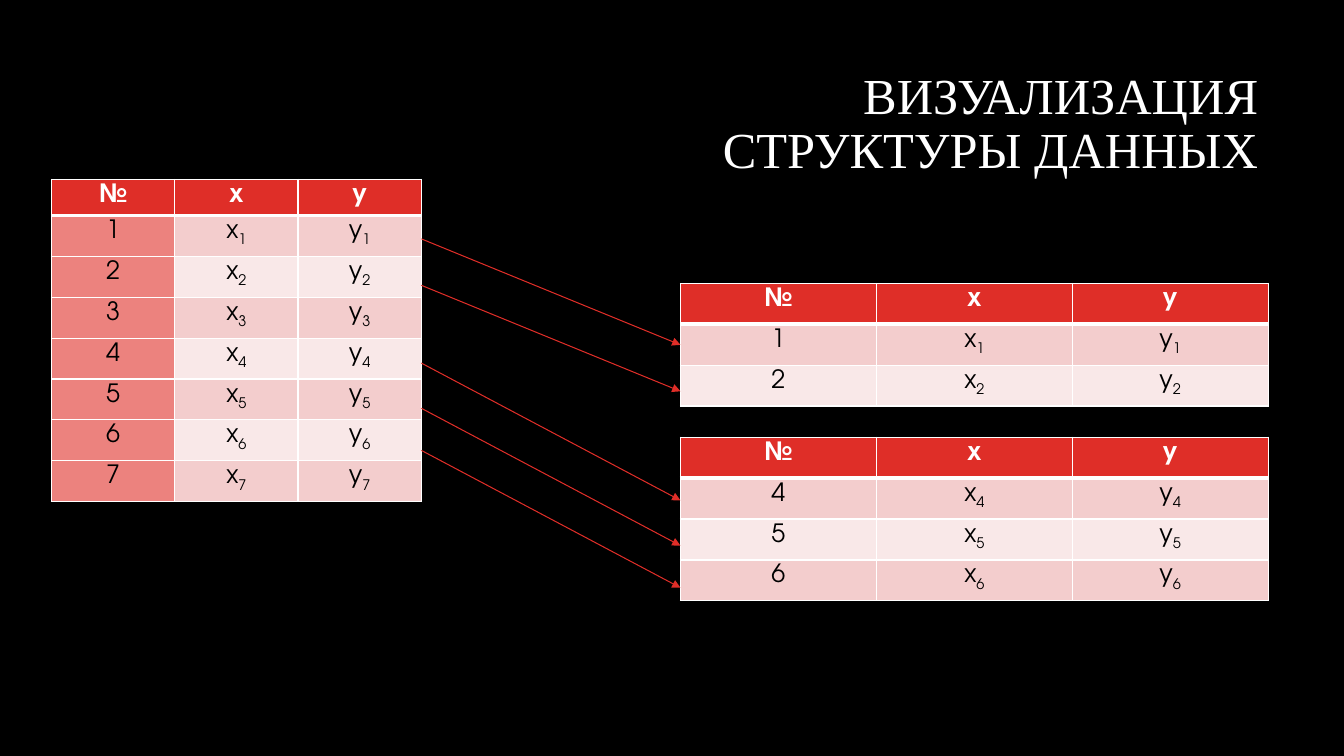
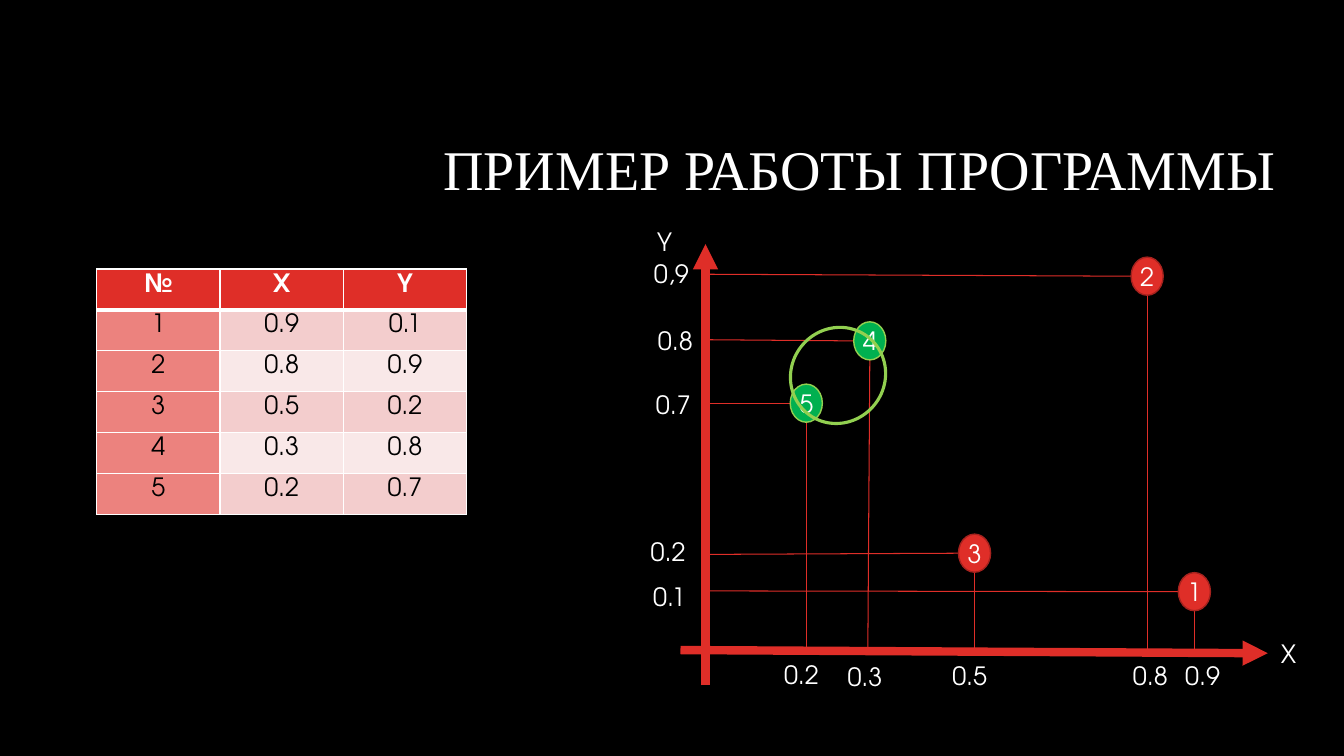
from lxml import etree
from pptx import Presentation
from pptx.dml.color import RGBColor
from pptx.enum.shapes import MSO_CONNECTOR, MSO_SHAPE
from pptx.enum.text import MSO_ANCHOR, PP_ALIGN
from pptx.oxml.ns import qn
from pptx.util import Cm, Pt

STRAIGHT = MSO_CONNECTOR.STRAIGHT
OVAL = MSO_SHAPE.OVAL
MIDDLE = MSO_ANCHOR.MIDDLE
LEFT, CENTER, RIGHT = PP_ALIGN.LEFT, PP_ALIGN.CENTER, PP_ALIGN.RIGHT

COLORS = {
    "background": "000000",
    "light": "FFFFFF",
    "dark": "000000",
    "red": "DF2E28",
    "red_edge": "A5221E",
    "index": "EC827E",
    "band_odd": "F3CDCD",
    "band_even": "F9E8E8",
    "green": "00B050",
    "green_edge": "92D050",
}
TITLE_FONT = "Times New Roman"
BODY_FONT = "TeX Gyre Adventor"
ROW_HEIGHT = 1.03
CELL_TOP_MARGIN = 0.11
BLANK_LAYOUT = 6


def rgb(name):
    return RGBColor.from_string(COLORS[name])


def write(frame, text, size=18, font=BODY_FONT, color="light", bold=False,
          align=LEFT, spacing=None):
    """Fill a text frame; a newline breaks the line, "_" starts a subscript."""
    paragraph = frame.paragraphs[0]
    paragraph.alignment = align
    if spacing:
        paragraph.line_spacing = spacing
    for number, line in enumerate(text.split("\n")):
        if number:
            paragraph.add_line_break()
        for level, part in enumerate(line.split("_")):
            run = paragraph.add_run()
            run.text = part
            run.font.size, run.font.name, run.font.bold = Pt(size), font, bold
            run.font.color.rgb = rgb(color)
            if level:
                run._r.get_or_add_rPr().set("baseline", "-25000")


def add_label(slide, text, left, top, width=1.63, height=1.02,
              anchor=None, **text_format):
    box = slide.shapes.add_textbox(Cm(left), Cm(top), Cm(width), Cm(height))
    box.text_frame.word_wrap = True
    if anchor is not None:
        box.text_frame.vertical_anchor = anchor
    write(box.text_frame, text, **text_format)


def add_titled_slide(prs, title, left, top, size):
    slide = prs.slides.add_slide(prs.slide_layouts[BLANK_LAYOUT])
    slide.background.fill.solid()
    slide.background.fill.fore_color.rgb = rgb("background")
    add_label(slide, title, left, top, 23.93, 3.58, anchor=MIDDLE, size=size,
              font=TITLE_FONT, align=RIGHT, spacing=0.9)
    return slide


def add_line(slide, start, end, width=0.75, arrow=False):
    line = slide.shapes.add_connector(STRAIGHT, *map(Cm, start + end))
    line.line.color.rgb = rgb("red")
    line.line.width = Pt(width)
    properties = line._element.spPr
    if arrow:
        head = etree.SubElement(properties.find(qn("a:ln")), qn("a:tailEnd"))
        head.set("type", "triangle")
    etree.SubElement(properties, qn("a:effectLst"))


def add_oval(slide, left, top, width, height, edge, edge_width=1, fill=None):
    oval = slide.shapes.add_shape(OVAL, Cm(left), Cm(top), Cm(width), Cm(height))
    oval.shadow.inherit = False
    if fill:
        oval.fill.solid()
        oval.fill.fore_color.rgb = rgb(fill)
    else:
        oval.fill.background()
    oval.line.color.rgb = rgb(edge)
    oval.line.width = Pt(edge_width)
    return oval


def border_cell(cell, is_header):
    """Draw white borders; the header has a heavier rule below it."""
    widths = {"lnL": 1, "lnR": 1, "lnT": 1, "lnB": 3 if is_header else 1}
    if not is_header:
        del widths["lnT"]
    properties = cell._tc.get_or_add_tcPr()
    for side, width in widths.items():
        border = etree.SubElement(properties, qn(f"a:{side}"), w=str(Pt(width)))
        fill = etree.SubElement(border, qn("a:solidFill"))
        etree.SubElement(fill, qn("a:srgbClr"), val=COLORS["light"])


def add_data_table(slide, left, top, width, rows, header_height=ROW_HEIGHT,
                   index_column=False):
    heights = [header_height] + [ROW_HEIGHT] * (len(rows) - 1)
    table = slide.shapes.add_table(len(rows), len(rows[0]), Cm(left), Cm(top),
                                   Cm(width), Cm(sum(heights))).table
    table.horz_banding = False
    for r, values in enumerate(rows):
        table.rows[r].height = Cm(heights[r])
        is_header = r == 0
        for c, value in enumerate(values):
            cell = table.cell(r, c)
            cell.margin_top, cell.margin_bottom = Cm(CELL_TOP_MARGIN), 0
            border_cell(cell, is_header)
            if is_header:
                fill = "red"
            elif index_column and c == 0:
                fill = "index"
            else:
                fill = "band_odd" if r % 2 else "band_even"
            cell.fill.solid()
            cell.fill.fore_color.rgb = rgb(fill)
            write(cell.text_frame, value, bold=is_header, align=CENTER,
                  color="light" if is_header else "dark")


def indexed_rows(first, last):
    return [("№", "x", "y")] + [
        (str(n), f"x_{n}", f"y_{n}") for n in range(first, last + 1)]


def add_scatter(slide, left, top):
    """Draw the axes, the numbered points with their guides, and the cluster."""
    def at(x, y):
        return left + x, top + y

    axis_x, axis_y = 1.78, 11.4
    add_line(slide, at(axis_x, 12.27), at(axis_x, 1.15), 6, arrow=True)
    add_line(slide, at(1.15, 11.38), at(15.95, 11.46), 6, arrow=True)

    # number, centre x, centre y, x on the X axis, y on the Y axis, colour
    points = [
        ("5", 4.32, 5.16, 4.32, 5.16, "green"),
        ("4", 5.92, 3.59, 5.87, 3.56, "green"),
        ("3", 8.56, 8.94, 8.56, 8.97, "red"),
        ("2", 12.91, 1.96, 12.91, 1.91, "red"),
        ("1", 14.10, 9.91, 14.10, 9.89, "red"),
    ]
    width, height = 0.81, 0.96
    for number, x, y, foot_x, foot_y, color in points:
        add_line(slide, at(x, y + height / 2), at(foot_x, axis_y))
        add_line(slide, at(x - width / 2, y), at(axis_x, foot_y))
        point = add_oval(slide, *at(x - width / 2, y - height / 2), width, height,
                         edge=f"{color}_edge", fill=color)
        frame = point.text_frame
        frame.margin_left = frame.margin_right = 0
        frame.margin_top = frame.margin_bottom = 0
        frame.word_wrap = False
        frame.vertical_anchor = MIDDLE
        write(frame, number, align=CENTER)

    axis_labels = [
        ("Y", 0.31, 0.59), ("0,9", 0.23, 1.38), ("0.8", 0.33, 3.08),
        ("0.7", 0.28, 4.68), ("0.2", 0.15, 8.39), ("0.1", 0.21, 9.53),
        ("0.2", 3.51, 11.48), ("0.3", 5.11, 11.54), ("0.5", 7.75, 11.51),
        ("0.8", 12.3, 11.51), ("0.9", 13.62, 11.51), ("X", 16.03, 10.95),
    ]
    for text, x, y in axis_labels:
        add_label(slide, text, *at(x, y))

    cluster = add_oval(slide, *at(3.89, 3.28), 2.46, 2.36, edge="green_edge",
                       edge_width=2.25)
    cluster.rotation = 308.3


def add_structure_slide(prs):
    slide = add_titled_slide(prs, "ВИЗУАЛИЗАЦИЯ\nСТРУКТУРЫ ДАННЫХ", 8.03, 1.37, 36)
    source_left, source_width, group_left, group_width = 1.3, 9.32, 17.15, 14.81
    add_data_table(slide, source_left, 4.52, source_width, indexed_rows(1, 7),
                   header_height=0.91, index_column=True)
    add_data_table(slide, group_left, 7.14, group_width, indexed_rows(1, 2))
    add_data_table(slide, group_left, 11.02, group_width, indexed_rows(4, 6))

    # drop from the source table to the group, starting heights
    for drop, starts in [(2.67, (6.02, 7.19)), (3.46, (9.15, 10.29, 11.35))]:
        for y in starts:
            add_line(slide, (source_left + source_width, y),
                     (group_left, y + drop), arrow=True)


def add_example_slide(prs):
    slide = add_titled_slide(prs, "ПРИМЕР РАБОТЫ ПРОГРАММЫ", 8.46, 2.56, 40)
    add_scatter(slide, 16, 5)
    add_data_table(slide, 2.44, 6.78, 9.32, [
        ("№", "X", "Y"),
        ("1", "0.9", "0.1"),
        ("2", "0.8", "0.9"),
        ("3", "0.5", "0.2"),
        ("4", "0.3", "0.8"),
        ("5", "0.2", "0.7"),
    ], index_column=True)


def main():
    prs = Presentation()
    prs.slide_width, prs.slide_height = Cm(33.87), Cm(19.05)
    add_structure_slide(prs)
    add_example_slide(prs)
    prs.save("out.pptx")


if __name__ == "__main__":
    main()
